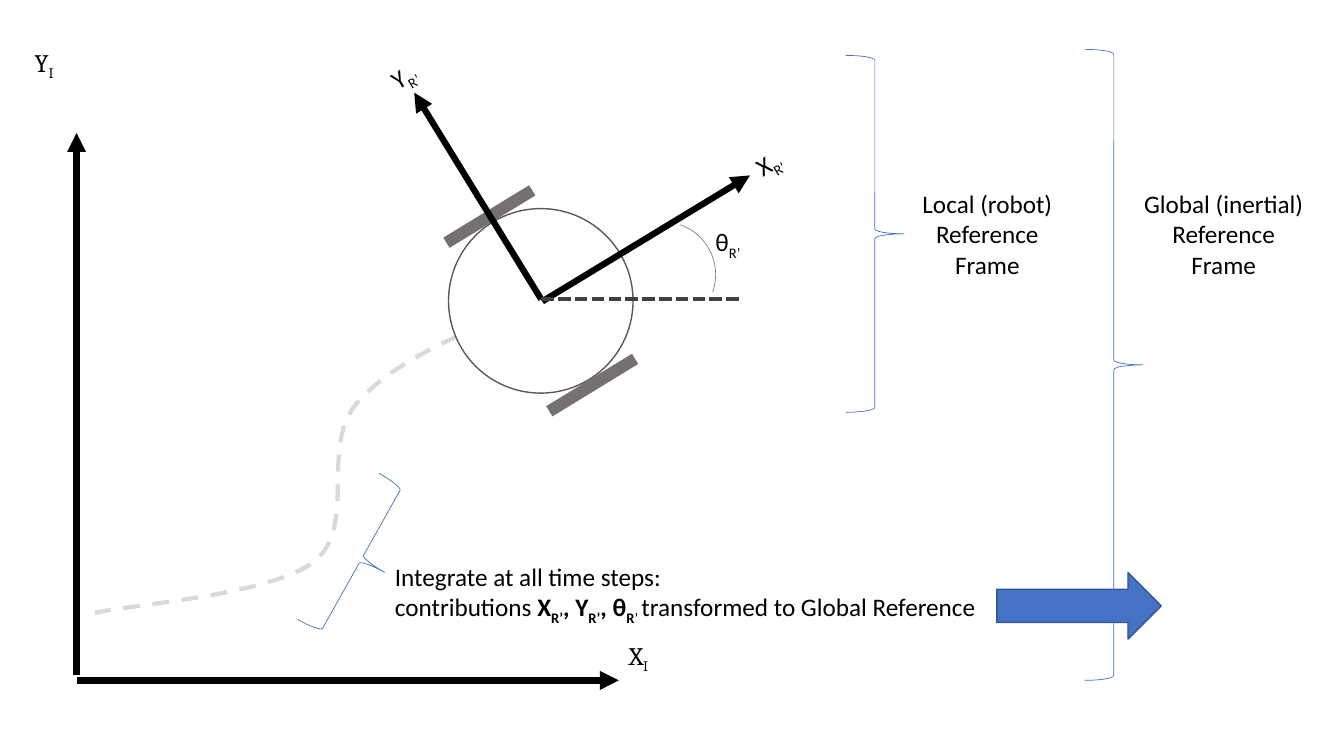
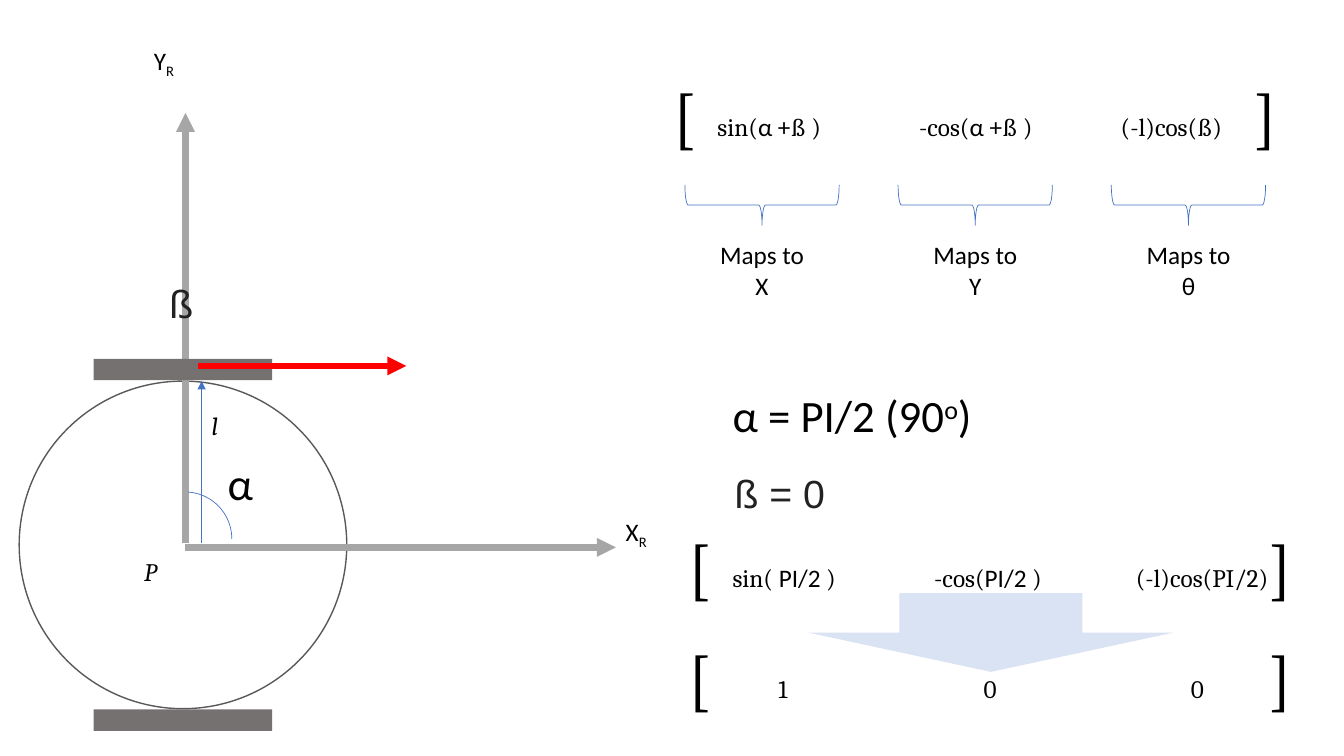
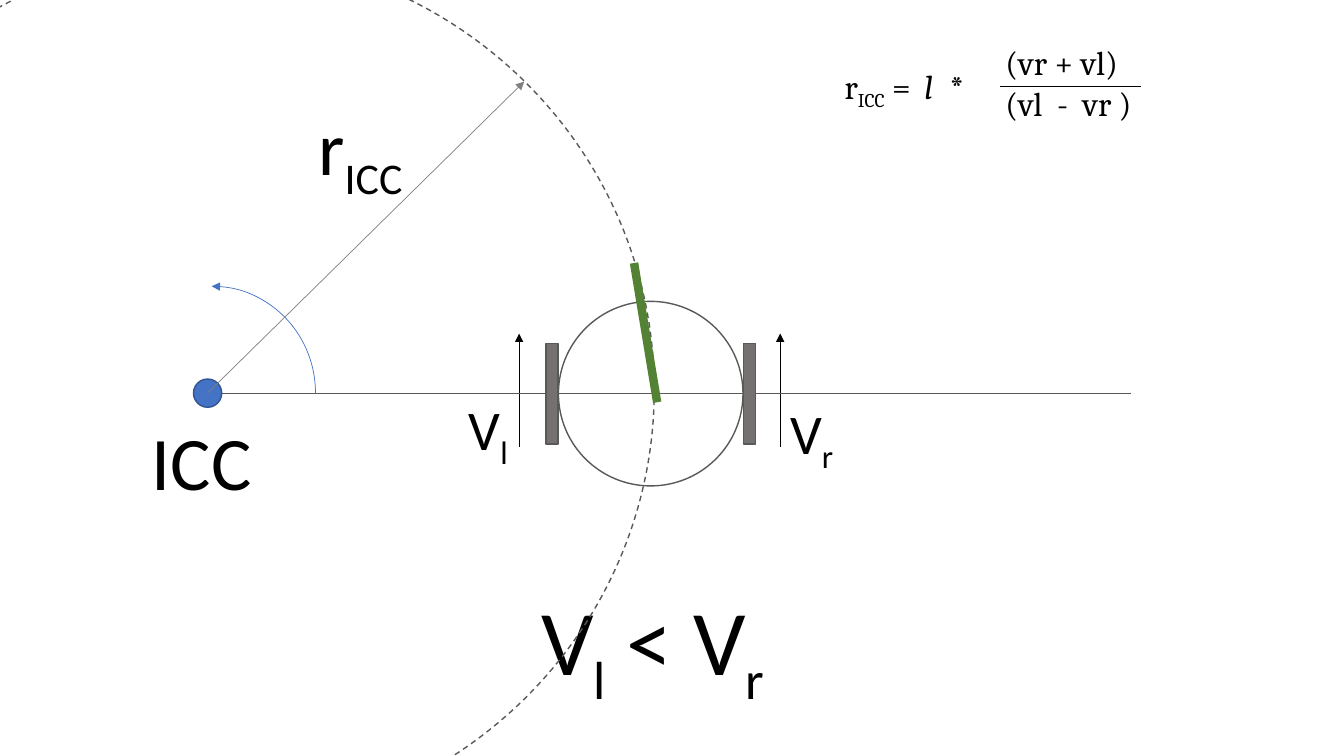
import math
from dataclasses import dataclass
from typing import Any, NamedTuple, Optional

import lxml.etree
import pptx
import pptx.dml.color
import pptx.enum.dml
import pptx.enum.shapes
import pptx.enum.text
import pptx.oxml.ns
import pptx.util

Pt = pptx.util.Pt
RGBColor = pptx.dml.color.RGBColor
Preset = pptx.enum.shapes.MSO_SHAPE
Dash = pptx.enum.dml.MSO_LINE
Align = pptx.enum.text.PP_ALIGN
qn = pptx.oxml.ns.qn

BLACK = RGBColor(0, 0, 0)
WHITE = RGBColor(255, 255, 255)
INK = RGBColor(0x22, 0x22, 0x22)
CHARCOAL = RGBColor(0x40, 0x40, 0x40)
OUTLINE = RGBColor(0x59, 0x59, 0x59)
WHEEL = RGBColor(0x76, 0x71, 0x71)
GRAY = RGBColor(0x80, 0x80, 0x80)
ARC_GRAY = RGBColor(0x84, 0x84, 0x84)
AXIS_GRAY = RGBColor(0xA6, 0xA6, 0xA6)
TRAIL = RGBColor(0xD9, 0xD9, 0xD9)
BLUE = RGBColor(0x44, 0x72, 0xC4)
BLUE_EDGE = RGBColor(0x32, 0x54, 0x91)
PALE_BLUE = RGBColor(0xDA, 0xE3, 0xF3)
RED = RGBColor(255, 0, 0)
GREEN = RGBColor(0x54, 0x82, 0x35)

SANS, SERIF, ARIAL = "Calibri", "Cambria", "Arial"
TILT = -31.4


class Piece(NamedTuple):
    text: str
    base: int = 0
    formats: dict[str, Any] = {}


class Stroke(NamedTuple):
    color: RGBColor
    width: float = 0.5
    dash: Optional[Any] = None
    arrow: bool = False


class Box(NamedTuple):
    left: float
    top: float
    width: float
    height: float


@dataclass
class Label:
    box: Box
    lines: list[list[Piece]]
    size: float = 18
    face: str = SANS
    color: RGBColor = BLACK
    align: Any = Align.LEFT
    wrap: bool = False
    tilt: float = 0
    tabs: tuple[float, ...] = ()
    tab_kind: str = "l"


@dataclass
class Robot:
    x: float
    y: float
    radius: float
    tilt: float
    wheel_edge: Optional[Stroke] = None


@dataclass
class Axes:
    x: float
    y: float
    length: float
    gap: float
    color: RGBColor
    face: str
    subscript: str
    label_side: float


@dataclass
class MatrixRow:
    left: float
    top: float
    entries: list[Piece]
    tabs: tuple[float, ...] = (144, 288)
    tab_kind: str = "l"


BRACE = Stroke(BLUE)


def apply_formats(target: Any, formats: dict[str, Any]) -> None:
    for name, value in formats.items():
        setattr(target, name, value)


def draw_stroke(shape: Any, stroke: Optional[Stroke]) -> None:
    if stroke is None:
        shape.line.fill.background()
        return
    shape.line.color.rgb = stroke.color
    shape.line.width = Pt(stroke.width)
    if stroke.dash is not None:
        shape.line.dash_style = stroke.dash
    if stroke.arrow:
        outline = shape.element.spPr.find(qn("a:ln"))
        lxml.etree.SubElement(outline, qn("a:tailEnd")).set("type", "triangle")


def draw_line(slide: Any, start: tuple[float, float], end: tuple[float, float], stroke: Stroke) -> None:
    line = slide.shapes.add_connector(
        pptx.enum.shapes.MSO_CONNECTOR.STRAIGHT, *(Pt(value) for value in start + end)
    )
    draw_stroke(line, stroke)
    lxml.etree.SubElement(line.element.spPr, qn("a:effectLst"))


def draw_shape(
    slide: Any,
    preset: Any,
    box: Box,
    fill: Optional[RGBColor] = None,
    stroke: Optional[Stroke] = None,
    rotation: float = 0,
) -> Any:
    shape = slide.shapes.add_shape(preset, *(Pt(value) for value in box))
    shape.rotation = rotation
    shape.shadow.inherit = False
    if fill is None:
        shape.fill.background()
    else:
        shape.fill.solid()
        shape.fill.fore_color.rgb = fill
    draw_stroke(shape, stroke)
    return shape


def draw_label(slide: Any, label: Label) -> None:
    holder = slide.shapes.add_textbox(*(Pt(value) for value in label.box))
    holder.rotation = label.tilt
    frame = holder.text_frame
    apply_formats(
        frame,
        {"word_wrap": label.wrap, "auto_size": pptx.enum.text.MSO_AUTO_SIZE.SHAPE_TO_FIT_TEXT},
    )
    for index, pieces in enumerate(label.lines):
        paragraph = frame.add_paragraph() if index else frame.paragraphs[0]
        paragraph.alignment = label.align
        if label.tabs:
            stops = lxml.etree.SubElement(paragraph._p.get_or_add_pPr(), qn("a:tabLst"))
            for position in label.tabs:
                stop = lxml.etree.SubElement(stops, qn("a:tab"))
                stop.set("pos", str(int(Pt(position))))
                stop.set("algn", label.tab_kind)
        for piece in pieces:
            run = paragraph.add_run()
            run.text = piece.text
            apply_formats(run.font, {"size": Pt(label.size), "name": label.face} | piece.formats)
            run.font.color.rgb = label.color
            if piece.base:
                run.font._element.set("baseline", str(piece.base * 1000))


def symbol(letter: str, subscript: str) -> list[Piece]:
    return [Piece(letter), Piece(subscript, -25)]


def draw_body(slide: Any, robot: Robot) -> None:
    side = 2 * robot.radius
    box = Box(robot.x - robot.radius, robot.y - robot.radius, side, side)
    draw_shape(slide, Preset.OVAL, box, WHITE, Stroke(OUTLINE, 1), robot.tilt)


def draw_wheels(slide: Any, robot: Robot) -> None:
    length, thickness, reach = (robot.radius * ratio for ratio in (1.09, 0.13, 1.07))
    angle = math.radians(robot.tilt)
    for side in (-1, 1):
        x = robot.x - side * reach * math.sin(angle)
        y = robot.y + side * reach * math.cos(angle)
        box = Box(x - length / 2, y - thickness / 2, length, thickness)
        draw_shape(slide, Preset.RECTANGLE, box, WHEEL, robot.wheel_edge, robot.tilt)


def draw_axes(slide: Any, axes: Axes) -> None:
    stroke = Stroke(axes.color, 4.5, arrow=True)
    right, bottom = axes.x + axes.length, axes.y - axes.gap
    top, side = bottom - axes.length, axes.label_side
    draw_line(slide, (axes.x, axes.y), (right, axes.y), stroke)
    draw_line(slide, (axes.x, bottom), (axes.x, top), stroke)
    for letter, left, label_top in (
        ("X", right, axes.y - side / 2),
        ("Y", axes.x - 0.57 * side, top - side),
    ):
        box = Box(left, label_top, side, side)
        draw_label(slide, Label(box, [symbol(letter, axes.subscript)], face=axes.face, wrap=True))


def draw_matrix_row(slide: Any, row: MatrixRow) -> None:
    for bracket, left in (("[", row.left - 31.7), ("]", row.left + 383)):
        draw_label(slide, Label(Box(left, row.top, 31.7, 65.5), [[Piece(bracket)]], 48, SERIF))
    draw_label(
        slide,
        Label(
            Box(row.left, row.top + 26.4, 420, 29), [row.entries], face=SERIF,
            wrap=True, tabs=row.tabs, tab_kind=row.tab_kind,
        ),
    )


def draw_trail(slide: Any) -> None:
    start = (384.5, 216)
    curves = [
        ((332.6, 236.9), (281.5, 257), (254.9, 288)),
        ((228.2, 319), (255.6, 375.8), (224.6, 401)),
        ((193.7, 425.5), (90.7, 432), (67.7, 437.8)),
    ]
    steps = 24
    points = []
    origin = start
    for curve in curves:
        for step in range(1, steps + 1):
            t = step / steps
            weights = ((1 - t) ** 3, 3 * t * (1 - t) ** 2, 3 * t * t * (1 - t), t**3)
            points.append(
                tuple(
                    Pt(sum(w * p[axis] for w, p in zip(weights, (origin, *curve))))
                    for axis in (0, 1)
                )
            )
        origin = curve[-1]
    builder = slide.shapes.build_freeform(Pt(start[0]), Pt(start[1]))
    builder.add_line_segments(points, close=False)
    trail = builder.convert_to_shape()
    trail.shadow.inherit = False
    trail.fill.background()
    draw_stroke(trail, Stroke(TRAIL, 3, Dash.DASH))


def build_frames(slide: Any) -> None:
    draw_trail(slide)
    robot = Robot(386.3, 214.9, 65.9, TILT)
    draw_body(slide, robot)
    draw_wheels(slide, robot)
    heading = Stroke(BLACK, 4.5, arrow=True)
    draw_line(slide, (387.4, 215.3), (535.7, 125.3), heading)
    draw_line(slide, (386.6, 213.8), (295.9, 66.2), heading)
    for letter, left, top in (("X", 532.8, 101.5), ("Y", 272.2, 38.9)):
        box = Box(left, top, 33.1, 28.8)
        draw_label(slide, Label(box, [symbol(letter, "R’")], wrap=True, tilt=TILT))
    draw_axes(slide, Axes(54.7, 486, 387.4, 3.6, BLACK, SERIF, "I", 65))
    for scope, left, width in (("Local (robot)", 650.9, 108.7), ("Global (inertial)", 809.3, 129.6)):
        lines = [[Piece(text)] for text in (scope, "Reference", "Frame")]
        draw_label(slide, Label(Box(left, 131, width, 72.7), lines, align=Align.CENTER))
    draw_line(slide, (386.6, 213.8), (527.8, 213.8), Stroke(CHARCOAL, 3, Dash.SQUARE_DOT))
    draw_shape(slide, Preset.ARC, Box(435.6, 158.4, 75.6, 75.6), stroke=Stroke(ARC_GRAY), rotation=19.5)
    draw_shape(slide, Preset.RIGHT_ARROW, Box(712.1, 409, 117.4, 47.5), BLUE, Stroke(BLUE_EDGE, 1))
    for box, rotation in (
        (Box(239, 339.8, 38.2, 119.5), 29.3),
        (Box(604, 39.6, 41.8, 254.9), 0),
        (Box(774.7, 35.3, 41.8, 450.7), 0),
    ):
        draw_shape(slide, Preset.RIGHT_BRACE, box, stroke=BRACE, rotation=rotation)
    bold = {"bold": True}
    contributions = [
        Piece("contributions "),
        Piece("X", 0, bold), Piece("R’", -25, bold),
        Piece(", Y", 0, bold), Piece("R’", -25, bold),
        Piece(", θ", 0, bold), Piece("R", -25, bold), Piece("’ ", -25),
        Piece("transformed to Global Reference"),
    ]
    steps = [[Piece("Integrate at all time steps:")], contributions]
    draw_label(slide, Label(Box(275, 397.4, 502, 51), steps, wrap=True))
    draw_label(slide, Label(Box(504, 158.4, 75, 51), [symbol("θ", "R’")], wrap=True))


def build_wheel_constraint(slide: Any) -> None:
    sans = {"name": SANS}
    rows = [
        MatrixRow(505.4, 49.7, [
            Piece("sin("), Piece("α +", 0, sans), Piece("ß )\t-cos("),
            Piece("α +", 0, sans), Piece("ß )\t(-l)cos(ß)"),
        ]),
        MatrixRow(516.2, 372, [
            Piece("sin("), Piece(" PI/2", 0, sans), Piece(" )\t-cos("),
            Piece("PI/2", 0, sans), Piece(" )\t(-l)cos(PI/2)"),
        ]),
        MatrixRow(516.2, 450.9, [Piece("\t1\t0\t0")], (36, 184, 332), "ctr"),
    ]
    for row in rows:
        draw_matrix_row(slide, row)
    for index, target in enumerate("XYθ"):
        shift = 152.3 * index
        brace = Box(529.9 + shift, 91.4, 28.8, 110.2)
        draw_shape(slide, Preset.RIGHT_BRACE, brace, stroke=BRACE, rotation=90)
        lines = [[Piece("Maps to")], [Piece(target)]]
        draw_label(slide, Label(Box(506.9 + shift, 167.6, 74.9, 51), lines, align=Align.CENTER))
    alpha = [Piece("α = PI/2 (90"), Piece("o", 30), Piece(")")]
    draw_label(slide, Label(Box(516.2, 273.6, 194.4, 46), [alpha], 32))
    draw_label(slide, Label(Box(517.7, 331.9, 80, 41), [[Piece("ß = 0")]], 28, ARIAL, INK))

    robot = Robot(130.7, 389.2, 117, 0)
    draw_body(slide, robot)
    draw_axes(slide, Axes(132.5, 391, 307.4, 3, AXIS_GRAY, SANS, "R", 52))
    draw_wheels(slide, robot)
    draw_line(slide, (141.1, 261.4), (290.2, 261.4), Stroke(RED, 4.5, arrow=True))
    draw_line(slide, (144, 388), (144, 272.2), Stroke(BLUE, arrow=True))
    angle = draw_shape(slide, Preset.ARC, Box(98.6, 351.4, 67, 67), stroke=BRACE)
    angle.adjustments[0] = 164.34
    italic = {"italic": True}
    for label in (
        Label(Box(95.8, 393.8, 66, 52), [[Piece("P", 0, italic)]], face=SERIF, wrap=True),
        Label(Box(144, 289.4, 29.5, 44.6), [[Piece("l", 0, italic)]], face=SERIF),
        Label(Box(155.5, 321.8, 37.4, 52.6), [[Piece("α")]], 32),
        Label(Box(113.8, 195.8, 36.7, 46.8), [[Piece("ß")]], 28, ARIAL, INK),
    ):
        draw_label(slide, label)
    draw_shape(slide, Preset.RIGHT_ARROW, Box(679.7, 321.1, 56.2, 261.4), PALE_BLUE, rotation=90)


def build_turning_circle(slide: Any) -> None:
    for subscript, x, top, width in (("r", 557.3, 280.8, 46), ("l", 370.8, 278.6, 44)):
        left = x if subscript == "r" else 327.6
        draw_label(slide, Label(Box(left, top, width, 55.4), [symbol("V", subscript)], 40))
        draw_line(slide, (x, 319), (x, 238.3), Stroke(BLACK, arrow=True))
    axle = Stroke(OUTLINE)
    draw_line(slide, (807.8, 280.8), (151.2, 280.8), axle)
    draw_shape(slide, Preset.OVAL, Box(138.2, 270.7, 20.2, 20.2), BLUE, Stroke(BLUE_EDGE, 1))
    comparison = symbol("V", "l") + symbol(" < V", "r")
    draw_label(slide, Label(Box(379.4, 413.3, 177.8, 87), [comparison], 66))
    turn = draw_shape(
        slide, Preset.ARC, Box(74.9, 206.6, 152.6, 148.3), stroke=Stroke(BLUE, arrow=True), rotation=270
    )
    turn.element.spPr.find(qn("a:xfrm")).set("flipV", "1")
    draw_label(slide, Label(Box(101.5, 293, 86.4, 72.7), [[Piece("ICC")]], 54))
    robot = Robot(464.8, 281.2, 65.9, 90, Stroke(OUTLINE, 1))
    draw_body(slide, robot)
    draw_wheels(slide, robot)
    draw_line(slide, (531.4, 280.8), (398.9, 280.8), axle)
    draw_shape(slide, Preset.OVAL, Box(-164.9, -33.1, 632.2, 623.5), stroke=Stroke(OUTLINE, 1, Dash.DASH))
    draw_line(slide, (148.3, 280.8), (374.4, 58.3), Stroke(GRAY, arrow=True))
    radius = symbol("r", "ICC") + [Piece(" =\t"), Piece("l", 0, {"italic": True}), Piece("\t*")]
    draw_label(slide, Label(Box(596.2, 43.2, 115, 36), [radius], 24, SERIF, wrap=True, tabs=(57, 75)))
    draw_label(slide, Label(Box(220.3, 67.7, 81.4, 72.7), [symbol("r", "ICC")], 54))
    fraction = [[Piece("(vr + vl)")], [Piece("(vl\t-\tvr )")]]
    draw_label(slide, Label(Box(711, 26.6, 130, 65.5), fraction, 24, SERIF, wrap=True, tabs=(37, 55)))
    draw_line(slide, (714.2, 61.9), (815, 61.9), Stroke(BLACK))
    draw_line(slide, (469.4, 287.3), (452.9, 187.9), Stroke(GREEN, 6))


def main() -> None:
    deck = pptx.Presentation()
    apply_formats(deck, {"slide_width": Pt(960), "slide_height": Pt(540)})
    for build in (build_frames, build_wheel_constraint, build_turning_circle):
        build(deck.slides.add_slide(deck.slide_layouts[6]))
    deck.save("out.pptx")


if __name__ == "__main__":
    main()
